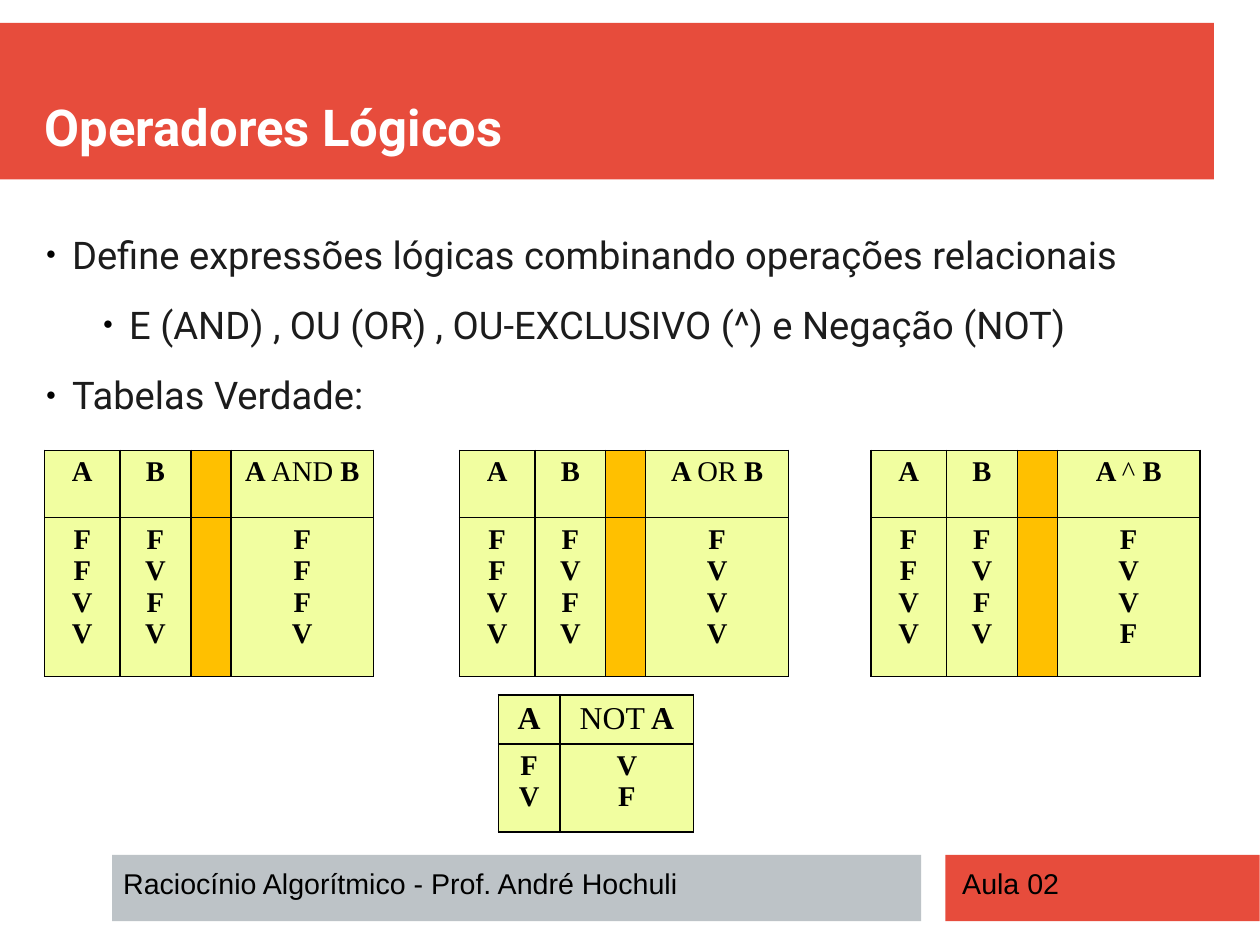
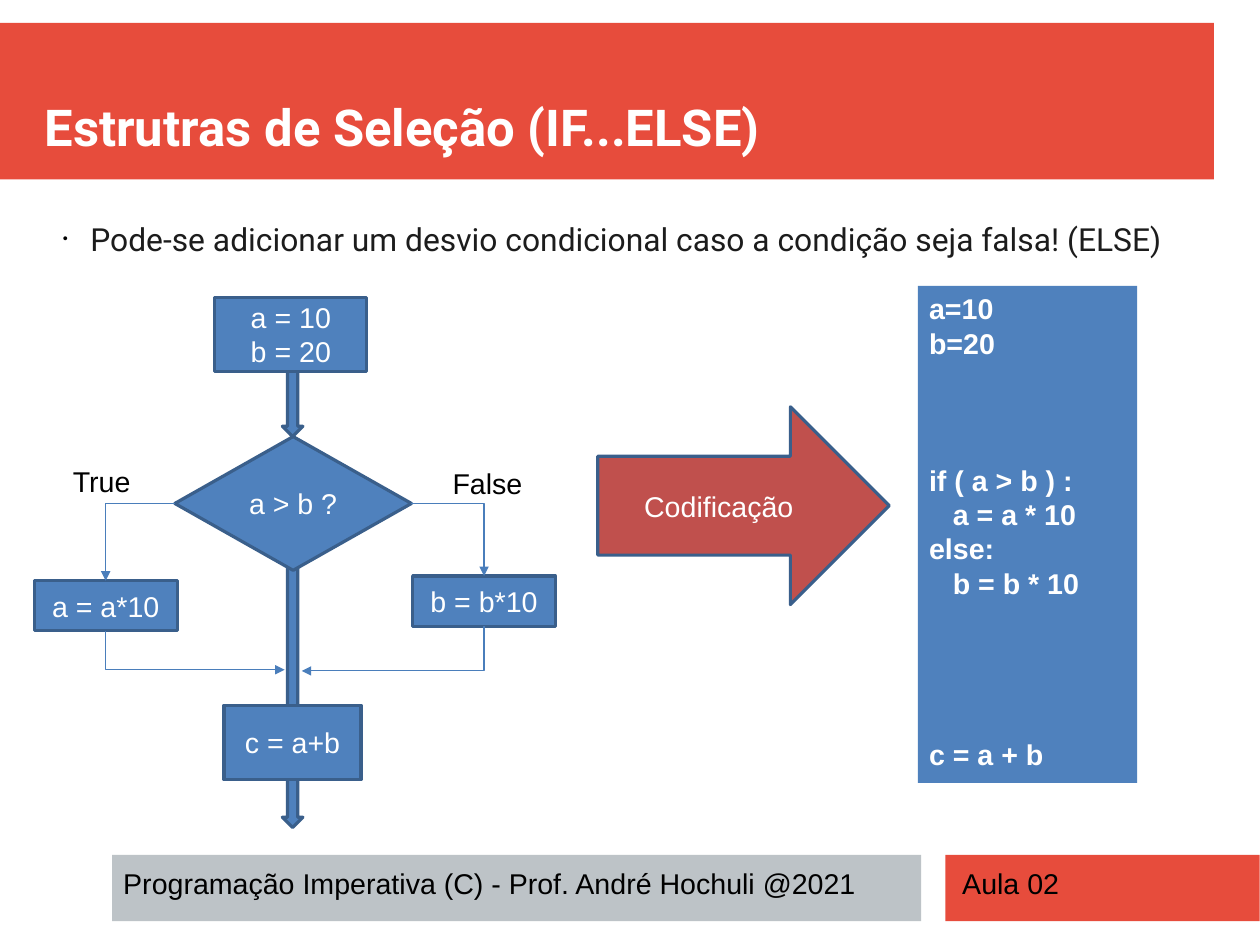
import pptx
import pptx.util
import pptx.dml.color
import pptx.enum.shapes
import pptx.enum.text
import pptx.oxml
import pptx.oxml.ns

Inches = pptx.util.Inches
Pt = pptx.util.Pt
SHAPES = pptx.enum.shapes.MSO_SHAPE
ALIGN = pptx.enum.text.PP_ALIGN
ANCHOR = pptx.enum.text.MSO_ANCHOR
COLORS = {
    "red": "E74C3C", "gray": "BDC3C7", "white": "FFFFFF", "black": "000000",
    "ink": "1C1C1C", "lime": "F1FEA0", "amber": "FFC000", "blue": "4F81BD",
    "navy": "3A5F8B", "wire": "4A7EBB", "brick": "C0504D",
}
RGB = {name: pptx.dml.color.RGBColor.from_string(value) for name, value in COLORS.items()}
NAMESPACE = pptx.oxml.ns.nsdecls("a")
NO_MARGINS = {"margin_left": 0, "margin_right": 0, "margin_top": 0, "margin_bottom": 0}
PLAIN = {"name": "Arial", "size": Pt(18), "bold": False}
CODE = {**PLAIN, "bold": True}
TITLE = {"name": "Roboto", "size": Pt(32), "bold": True}


def write_text(frame, lines, font, color, align=ALIGN.LEFT, **frame_format):
    frame.text = "\n".join(lines)
    frame_format = {"word_wrap": True, "auto_size": pptx.enum.text.MSO_AUTO_SIZE.NONE, **frame_format}
    for key, value in frame_format.items():
        setattr(frame, key, value)
    for para in frame.paragraphs:
        para.alignment = align
        for span in para.runs:
            span.font.color.rgb = RGB[color]
            for key, value in font.items():
                setattr(span.font, key, value)


def add_block(slide, kind, place, fill, outline=None):
    block = slide.shapes.add_shape(kind, *map(Inches, place))
    block.shadow.inherit = False
    block.fill.solid()
    block.fill.fore_color.rgb = RGB[fill]
    if outline:
        block.line.color.rgb = RGB[outline]
        block.line.width = Pt(2)
    else:
        block.line.fill.background()
    return block


deck = pptx.Presentation()
deck.slide_width = pptx.util.Cm(28)
deck.slide_height = pptx.util.Cm(21)
layout = deck.slide_layouts[1]

pages = [
    {
        "title": "Operadores Lógicos",
        "footer": "Raciocínio Algorítmico - Prof. André Hochuli",
        "body": (0.39, 2.02, 10.03, 1.8),
        "size": 24, "bullet": "●", "hang": 0.23,
        "items": [
            (0, "Define expressões lógicas combinando operações relacionais"),
            (1, "E (AND) , OU (OR) , OU-EXCLUSIVO (^) e Negação (NOT)"),
            (0, "Tabelas Verdade:"),
        ],
    },
    {
        "title": "Estrutras de Seleção (IF...ELSE)",
        "footer": "Programação Imperativa (C) - Prof. André Hochuli @2021",
        "body": (0.55, 1.92, 10.03, 0.5),
        "size": 20, "bullet": "•", "hang": 0.3,
        "items": [(0, "Pode-se adicionar um desvio condicional caso a condição seja falsa! (ELSE)")],
    },
]

for page in pages:
    slide = deck.slides.add_slide(layout)
    page["slide"] = slide
    title, body = slide.placeholders
    for holder, place in ((title, (0.39, 0.39, 10.23, 0.98)), (body, page["body"])):
        holder.left, holder.top, holder.width, holder.height = map(Inches, place)
    write_text(title.text_frame, [page["title"]], TITLE, "white",
               vertical_anchor=ANCHOR.BOTTOM, **NO_MARGINS)
    item_font = {"name": "Roboto", "size": Pt(page["size"]), "bold": False}
    write_text(body.text_frame, [text for level, text in page["items"]], item_font, "ink",
               vertical_anchor=ANCHOR.TOP, **NO_MARGINS)
    for para, (level, text) in zip(body.text_frame.paragraphs, page["items"]):
        para.level = level
        para.space_before = Pt(0)
        para.space_after = Pt(15.5)
        properties = para._p.get_or_add_pPr()
        properties.set("marL", str(Inches(0.24 + 0.5 * level)))
        properties.set("indent", str(-Inches(page["hang"])))
        for bullet in (
            f'<a:buClr {NAMESPACE}><a:srgbClr val="{COLORS["black"]}"/></a:buClr>',
            f'<a:buSzPct {NAMESPACE} val="45000"/>',
            f'<a:buFont {NAMESPACE} typeface="Arial"/>',
            f'<a:buChar {NAMESPACE} char="{page["bullet"]}"/>',
        ):
            properties.append(pptx.oxml.parse_xml(bullet))
    for left, width, text in ((0.98, 7.04, page["footer"]), (8.32, 2.49, "Aula 02")):
        box = slide.shapes.add_textbox(*map(Inches, (left, 7.53, width, 0.39)))
        write_text(box.text_frame, [text], PLAIN, "black")

logic_slide, selection_slide = [page["slide"] for page in pages]

bands = [
    ((0, 0.2, 10.62, 1.37), "red"),
    ((8.27, 7.48, 2.75, 0.58), "red"),
    ((0.98, 7.48, 7.08, 0.58), "gray"),
]
for index, (place, fill) in enumerate(bands):
    band = add_block(logic_slide, SHAPES.RECTANGLE, place, fill)
    band.element.nvSpPr.cNvPr.set("id", str(100 + index))
    layout.shapes.element.insert(2 + index, band.element)

wide = {"top": 3.94, "widths": (0.66, 0.62, 0.35, 1.25), "heights": (0.59, 1.39), "size": 18}
narrow = {"top": 6.08, "widths": (0.54, 1.17), "heights": (0.43, 0.77), "size": 20}
truth_tables = [
    (0.39, wide, ("A", "B", "", "A |AND| B"), ("FFVV", "FVFV", "", "FFFV")),
    (4.36, narrow, ("A", "|NOT| A"), ("FV", "VF")),
    (4.02, wide, ("A", "B", "", "A |OR| B"), ("FFVV", "FVFV", "", "FVVV")),
    (7.62, wide, ("A", "B", "", "A |^| B"), ("FFVV", "FVFV", "", "FVVF")),
]
for left, grid, headings, values in truth_tables:
    place = (left, grid["top"], sum(grid["widths"]), sum(grid["heights"]))
    table = logic_slide.shapes.add_table(2, len(headings), *map(Inches, place)).table
    table.first_row = table.horz_banding = False
    for column, width in zip(table.columns, grid["widths"]):
        column.width = Inches(width)
    for row, height in zip(table.rows, grid["heights"]):
        row.height = Inches(height)
    for column, (heading, letters) in enumerate(zip(headings, values)):
        top_cell, value_cell = table.cell(0, column), table.cell(1, column)
        for cell in (top_cell, value_cell):
            for side in "LRTB":
                cell._tc.get_or_add_tcPr().append(pptx.oxml.parse_xml(
                    f'<a:ln{side} {NAMESPACE} w="{Pt(0.96)}"><a:solidFill>'
                    f'<a:srgbClr val="{COLORS["black"]}"/></a:solidFill></a:ln{side}>'))
            cell.fill.solid()
            cell.fill.fore_color.rgb = RGB["lime" if heading else "amber"]
        if not heading:
            continue
        para = top_cell.text_frame.paragraphs[0]
        para.alignment = ALIGN.CENTER
        for index, text in enumerate(heading.split("|")):
            if text:
                span = para.add_run()
                span.text = text
                span.font.color.rgb = RGB["black"]
                heading_font = {"name": "Times New Roman", "size": Pt(grid["size"]), "bold": index % 2 == 0}
                for key, value in heading_font.items():
                    setattr(span.font, key, value)
        value_cell.text_frame.text = "\n".join(letters)
        for para in value_cell.text_frame.paragraphs:
            para.alignment = ALIGN.CENTER
            font = para.runs[0].font
            font.color.rgb = RGB["black"]
            for key, value in {"name": "Times New Roman", "size": Pt(18), "bold": True}.items():
                setattr(font, key, value)

for place in ((2.47, 3.08, 0.18, 0.74), (2.47, 4.93, 0.18, 2.31)):
    add_block(selection_slide, SHAPES.DOWN_ARROW, place, "blue", "navy")

steps = {
    "start": (SHAPES.RECTANGLE, (1.88, 2.6, 1.33, 0.65), "blue", ["a = 10", "b = 20"]),
    "true": (SHAPES.RECTANGLE, (0.3, 5.08, 1.25, 0.44), "blue", ["a = a*10"]),
    "sum": (SHAPES.RECTANGLE, (1.96, 6.17, 1.2, 0.65), "blue", ["c = a+b"]),
    "false": (SHAPES.RECTANGLE, (3.61, 5.04, 1.25, 0.44), "blue", ["b = b*10"]),
    "test": (SHAPES.DIAMOND, (1.53, 3.82, 2.07, 1.17), "blue", ["a > b ?"]),
    "coding": (SHAPES.RIGHT_ARROW, (5.23, 3.56, 2.55, 1.73), "brick", ["Codificação"]),
}
blocks = {}
for name, (kind, place, fill, lines) in steps.items():
    blocks[name] = add_block(selection_slide, kind, place, fill, "navy")
    write_text(blocks[name].text_frame, lines, PLAIN, "white", ALIGN.CENTER,
               vertical_anchor=ANCHOR.MIDDLE)

branches = [
    ((1.53, 4.4), (0.92, 5.08), 1, "true", 0, "tailEnd"),
    ((3.6, 4.4), (4.23, 5.04), 3, "false", 0, "tailEnd"),
    ((2.49, 5.86), (0.92, 5.52), None, "true", 2, "headEnd"),
    ((2.64, 5.87), (4.23, 5.48), None, "false", 2, "headEnd"),
]
for begin, end, test_side, target, target_side, arrow_end in branches:
    branch = selection_slide.shapes.add_connector(
        pptx.enum.shapes.MSO_CONNECTOR.ELBOW, *map(Inches, begin + end))
    if test_side is not None:
        branch.begin_connect(blocks["test"], test_side)
    branch.end_connect(blocks[target], target_side)
    branch.line.color.rgb = RGB["wire"]
    branch.line.width = Pt(0.75)
    branch.get_or_add_ln().append(pptx.oxml.parse_xml(f'<a:{arrow_end} {NAMESPACE} type="triangle"/>'))
    properties = branch.element.spPr
    properties.find(pptx.oxml.ns.qn("a:prstGeom")).set("prst", "bentConnector2")
    properties.append(pptx.oxml.parse_xml(f"<a:effectLst {NAMESPACE}/>"))

for text, place in (("True", (0.49, 4.01, 0.8, 0.39)), ("False", (3.82, 4.03, 0.89, 0.39))):
    label = selection_slide.shapes.add_textbox(*map(Inches, place))
    write_text(label.text_frame, [text], PLAIN, "black", ALIGN.CENTER)

code_lines = [
    ("a=10", 0), ("b=20", 0), ("if ( a > b ) :", 64.8), ("   a = a * 10", 0),
    ("else:", 0), ("   b = b * 10", 0), ("c = a + b", 86.4),
]
code_box = add_block(selection_slide, SHAPES.RECTANGLE, (8.03, 2.5, 1.92, 4.35), "blue")
write_text(code_box.text_frame, [text for text, gap in code_lines], CODE, "white",
           vertical_anchor=ANCHOR.TOP)
for para, (text, gap) in zip(code_box.text_frame.paragraphs, code_lines):
    para.space_before = Pt(gap)

deck.save("out.pptx")
